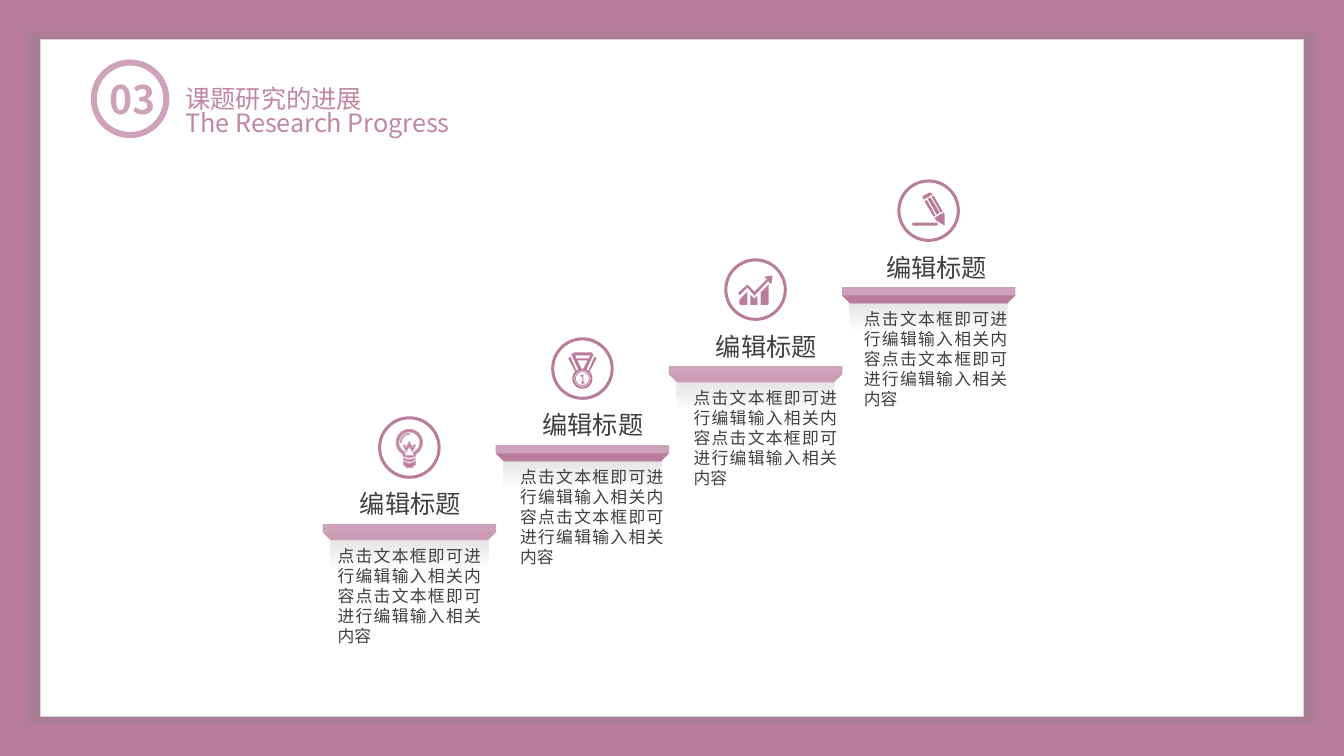
import math
from dataclasses import dataclass

from pptx import Presentation
from pptx import util as u
from pptx.dml import color
from pptx.enum import shapes, text
from pptx.oxml import ns
from lxml import etree


@dataclass(frozen=True)
class Theme:
    font: str = "Noto Sans CJK SC"
    mauve: str = "BA7C9B"
    pink: str = "CEA2B8"
    heading: str = "C086A3"
    ink: str = "404040"
    white: str = "FFFFFF"
    black: str = "000000"
    shadow: str = "808080"
    number_size: int = 28
    title_size: int = 18
    body_size: int = 12


THEME = Theme()
SHELF_WIDTH = 1.72
FIRST_LEFT, LAST_LEFT = 3.2, 8.35
FIRST_TOP, LAST_TOP = 5.2, 2.85
TEXT_LEFTS = (3.25, 5.06, 6.78, 8.47)
STEP_TITLE = "编辑标题"
STEP_BODY = "点击文本框即可进行编辑输入相关内容" * 2


def arc(x, y, radius, start=0, end=360, count=32):
    angles = [math.radians(start + (end - start) * i / count) for i in range(count + 1)]
    return [(x + radius * math.cos(a), y + radius * math.sin(a)) for a in angles]


BULB = [
    arc(0, -5, 13, 120, 420) + [(6, 9), (0, 10), (-6, 9)],
    arc(0, -5, 10.5, 115, 425) + [(4, 8), (-4, 8)],
    arc(0, -5, 9, 180, 270) + arc(0, -5, 8, 270, 180),
    [(3, 0), (0, -6), (-3, 0), (-5, -3), (-6, -2), (-3, 4), (0, -1), (3, 4), (6, -2), (5, -3)],
    [(-6, 11), (0, 12), (6, 11), (5, 13), (0, 14), (-5, 13)],
    [(-6, 14), (0, 16), (6, 14), (6, 17), (4, 18), (3, 20), (-3, 20), (-4, 18), (-6, 17)],
]
MEDAL = [
    arc(0, 10, 10, -45, 225) + [
        (-14, -10), (-12, -12), (-6, 2), (-4, 1), (-11, -14), (-8, -16),
        (9, -16), (11, -14), (4, 1), (6, 2), (12, -12), (14, -10)],
    [(-7, -13), (8, -13), (6, -10), (-6, -10)],
    [(-5, -8), (5, -8), (1, 0), (-1, 0)],
    arc(0, 10, 8),
    arc(0, 10, 7.3),
    arc(0, 10, 6.5),
    [(1, 6), (0, 6), (-2, 7), (-2, 8), (0, 8), (0, 13), (-1, 13), (-1, 15), (2, 15), (2, 13), (1, 13)],
]
GROWTH = [
    [(-16, 14), (-15, 15), (-8, 15), (-8, 2), (-16, 10)],
    [(-5, 5), (-5, 15), (2, 15), (2, 6), (-1, 9)],
    [(5, 3), (5, 15), (12, 15), (13, 14), (13, -5), (6, 2)],
    [(10, -13), (9, -12), (10, -11), (12, -11), (-1, 2), (-8, -5), (-17, 3), (-17, 5),
     (-15, 5), (-8, -2), (-1, 6), (13, -9), (13, -7), (15, -6), (16, -7), (17, -14)],
]
PENCIL = [
    [(7, 9), (8, 10), (16, 15), (16, 4), (15, 2), (6, 7)],
    [(12, 2), (14, 1), (5, -15), (3, -14)],
    [(11, 2), (2, -13), (-1, -12), (8, 4)],
    [(-4, -9), (5, 6), (7, 5), (-2, -11)],
    [(-5, -11), (4, -16), (3, -17), (1, -18), (-5, -15), (-6, -13)],
    [(-16, 15), (9, 15), (9, 12), (-16, 12)],
]
GLYPHS = (BULB, MEDAL, GROWTH, PENCIL)


def rgb(value):
    return color.RGBColor.from_string(value)


def set_alpha(parent, percent):
    node = next(parent.iter(ns.qn("a:srgbClr")))
    etree.SubElement(node, ns.qn("a:alpha"), val=str(percent * 1000))


def paint(shape, fill):
    shape.shadow.inherit = False
    shape.fill.solid()
    shape.fill.fore_color.rgb = rgb(fill)
    shape.line.fill.background()


def add_preset(slide, kind, left, top, width, height, fill):
    shape = slide.shapes.add_shape(kind, *map(u.Inches, (left, top, width, height)))
    paint(shape, fill)
    return shape


def add_outline(slide, contours, fill):
    points = [[(u.Inches(x), u.Inches(y)) for x, y in contour] for contour in contours]
    builder = slide.shapes.build_freeform(*points[0][0], scale=1.0)
    for index, contour in enumerate(points):
        if index:
            builder.move_to(*contour[0])
        builder.add_line_segments(contour[1:], close=True)
    shape = builder.convert_to_shape()
    paint(shape, fill)
    return shape


def write(shape, words, size, ink, align=text.PP_ALIGN.LEFT, bold=False, wrap=True):
    frame = shape.text_frame
    frame.word_wrap = wrap
    paragraph = frame.paragraphs[0]
    paragraph.alignment = align
    run = paragraph.add_run()
    run.text = words
    run.font.size = u.Pt(size)
    run.font.bold = bold
    run.font.color.rgb = rgb(ink)
    run.font.name = THEME.font
    etree.SubElement(run.font._element, ns.qn("a:ea"), typeface=THEME.font)


def add_text(slide, left, top, width, height, *content, **style):
    box = slide.shapes.add_textbox(*map(u.Inches, (left, top, width, height)))
    write(box, *content, **style)


def add_ring(slide, left, top, size, thickness, fill):
    ring = add_preset(slide, shapes.MSO_SHAPE.DONUT, left, top, size, size, fill)
    ring.adjustments[0] = thickness / size


def add_card(slide):
    card = add_preset(slide, shapes.MSO_SHAPE.RECTANGLE, 0.4, 0.39, 12.53, 6.72, THEME.white)
    effects = card._element.spPr.find(ns.qn("a:effectLst"))
    shadow = etree.SubElement(effects, ns.qn("a:outerShdw"), blurRad=str(u.Pt(8)), dist="0",
                              dir="0", sx="102000", sy="102000", algn="ctr", rotWithShape="0")
    etree.SubElement(shadow, ns.qn("a:srgbClr"), val=THEME.shadow)
    set_alpha(shadow, 32)
    slide.shapes.title._element.addprevious(card._element)


def add_header(slide):
    add_ring(slide, 0.9, 0.59, 0.78, 0.06, THEME.pink)
    add_text(slide, 0.95, 0.7, 0.72, 0.57, "03", THEME.number_size, THEME.pink,
             align=text.PP_ALIGN.CENTER, bold=True)
    title = slide.shapes.title
    title.left, title.top, title.width, title.height = map(u.Inches, (1.74, 0.6, 1.97, 0.58))
    title.text_frame.vertical_anchor = text.MSO_ANCHOR.BOTTOM
    title.text_frame.auto_size = text.MSO_AUTO_SIZE.NONE
    write(title, "课题研究的进展", THEME.title_size, THEME.heading, wrap=False)
    add_text(slide, 1.74, 1.02, 5.49, 0.4, "The Research Progress", THEME.title_size, THEME.heading)


def add_shade(slide, left, top):
    shade = add_preset(slide, shapes.MSO_SHAPE.RECTANGLE, left, top, 1.56, 0.55, THEME.black)
    shade.fill.gradient()
    shade.fill.gradient_angle = 270
    for stop, position, opacity in zip(shade.fill.gradient_stops, (0, 0.5), (10, 0)):
        stop.position = position
        stop.color.rgb = rgb(THEME.black)
        set_alpha(stop._gs, opacity)


def add_shelf(slide, left, top, pale):
    right, lip, base = left + SHELF_WIDTH, top + 0.08, top + 0.16
    front = [(right, lip), (right - 0.08, base), (left + 0.08, base), (left, lip)]
    add_shade(slide, left + 0.08, base)
    add_outline(slide, [[(left, top), (right, top)] + front], THEME.pink)
    band = add_outline(slide, [front], THEME.mauve)
    if pale:
        set_alpha(band._element.spPr, 15)


def add_icon(slide, x, y, glyph):
    add_ring(slide, x - 0.31, y - 0.31, 0.62, 0.03, THEME.mauve)
    contours = [[(x + dx / 100, y + dy / 100) for dx, dy in contour] for contour in glyph]
    return add_outline(slide, contours, THEME.mauve)


def add_step(slide, index, glyph):
    progress = index / (len(GLYPHS) - 1)
    left = FIRST_LEFT + progress * (LAST_LEFT - FIRST_LEFT)
    top = FIRST_TOP + progress * (LAST_TOP - FIRST_TOP)
    add_shelf(slide, left, top, pale=index % 2 == 0)
    icon = add_icon(slide, left + 0.86, top - 0.76, glyph)
    if glyph is BULB:
        icon.line.color.rgb = rgb(THEME.pink)
        icon.line.width = u.Pt(0.75)
    text_left = TEXT_LEFTS[index]
    add_text(slide, text_left, top + 0.16, 1.62, 1.11, STEP_BODY, THEME.body_size, THEME.ink,
             align=text.PP_ALIGN.JUSTIFY)
    add_text(slide, text_left + 0.01, top - 0.4, 1.62, 0.4, STEP_TITLE, THEME.title_size, THEME.ink,
             align=text.PP_ALIGN.CENTER)


def main():
    presentation = Presentation()
    presentation.slide_width, presentation.slide_height = u.Inches(13.33), u.Inches(7.5)
    slide = presentation.slides.add_slide(presentation.slide_layouts[5])
    slide.background.fill.solid()
    slide.background.fill.fore_color.rgb = rgb(THEME.mauve)
    add_card(slide)
    add_header(slide)
    for index, glyph in enumerate(GLYPHS):
        add_step(slide, index, glyph)
    presentation.save("out.pptx")


if __name__ == "__main__":
    main()
